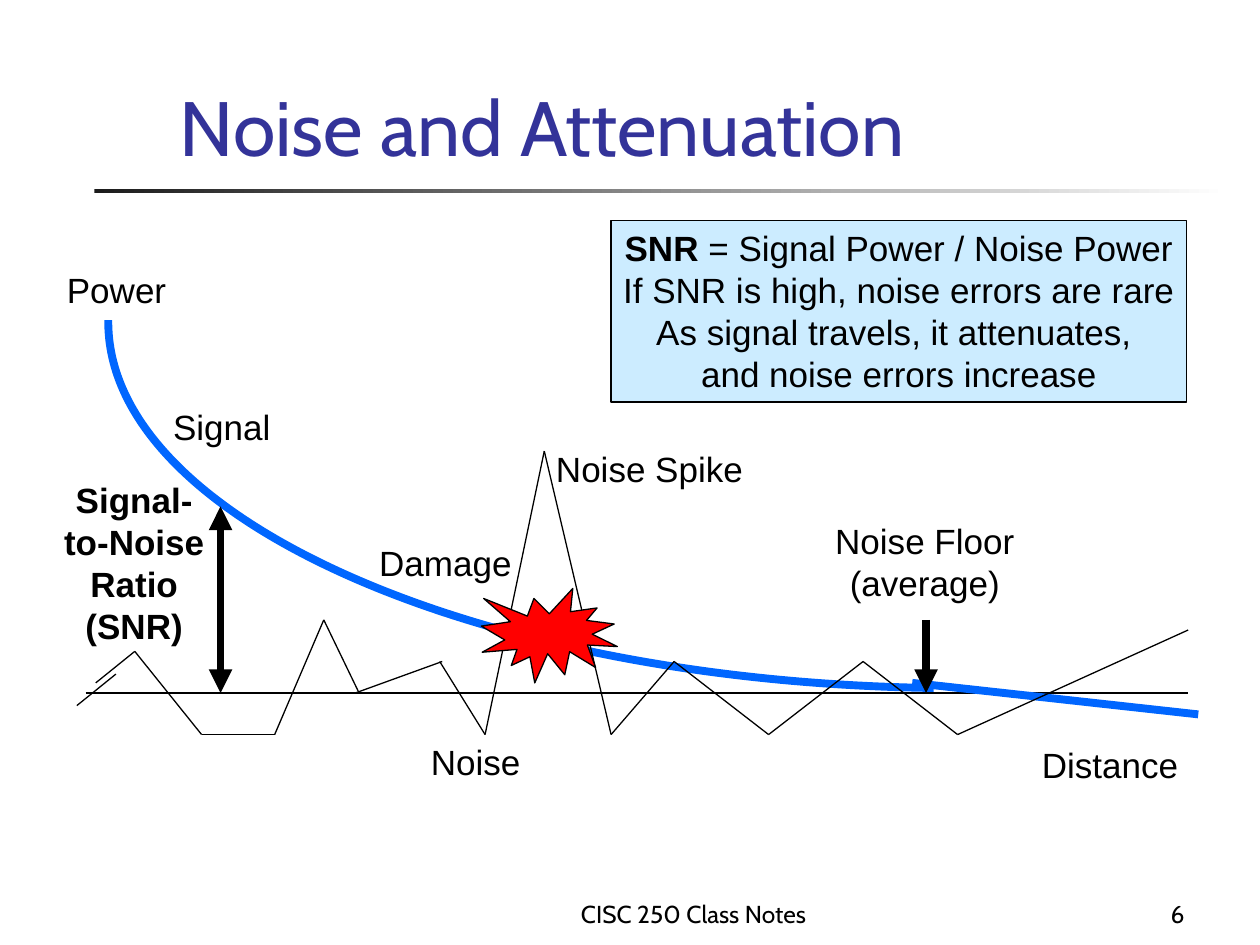
import collections
import itertools

import lxml.etree
import pptx
import pptx.dml.color
import pptx.enum.shapes
import pptx.enum.text
import pptx.oxml.ns
import pptx.util

Inches = pptx.util.Inches
ALIGN = pptx.enum.text.PP_ALIGN
ANCHOR = pptx.enum.text.MSO_ANCHOR
SHAPE = pptx.enum.shapes.MSO_SHAPE
Box = collections.namedtuple("Box", "left top width height")

BLACK, BLUE = "000000", "0066FF"
LABEL = {"size": pptx.util.Pt(20), "name": "Arial", "bold": False}
STRONG = {**LABEL, "bold": True}
TITLE = {"size": pptx.util.Pt(44), "name": "Cabin"}
FOOTER = {"size": pptx.util.Pt(14), "name": "Cabin"}


def color(value):
    return pptx.dml.color.RGBColor.from_string(value)


def set_values(target, values):
    for name, value in values.items():
        setattr(target, name, value)


def inside(box, left, top, width, height):
    return Box(box.left + left, box.top + top, width, height)


def write(shape, paragraphs, align, anchor=ANCHOR.TOP, wrap=False, fill=BLACK):
    frame = shape.text_frame
    set_values(frame, {"word_wrap": wrap, "vertical_anchor": anchor})
    for index, runs in enumerate(paragraphs):
        paragraph = frame.add_paragraph() if index else frame.paragraphs[0]
        paragraph.alignment = align
        for text, values in runs:
            run = paragraph.add_run()
            run.text = text
            set_values(run.font, values)
            run.font.color.rgb = color(fill)


def add_text(slide, box, paragraphs, align, **options):
    shape = slide.shapes.add_textbox(*map(Inches, box))
    write(shape, paragraphs, align, **options)


def add_outlined(slide, kind, box, fill):
    shape = slide.shapes.add_shape(kind, *map(Inches, box))
    shape.shadow.inherit = False
    shape.fill.solid()
    shape.fill.fore_color.rgb = color(fill)
    shape.line.color.rgb = color(BLACK)
    shape.line.width = pptx.util.Pt(0.75)
    return shape


def add_line(slide, box, start, end, stroke=BLACK, width=0.75, arrows=()):
    ends = [Inches(origin + offset) for point in (start, end)
            for origin, offset in zip(box[:2], point)]
    connector = slide.shapes.add_connector(
        pptx.enum.shapes.MSO_CONNECTOR.STRAIGHT, *ends)
    connector.line.color.rgb = color(stroke)
    connector.line.width = pptx.util.Pt(width)
    for arrow in arrows:
        lxml.etree.SubElement(connector.line._ln, pptx.oxml.ns.qn(arrow), type="triangle")
    lxml.etree.SubElement(connector._element.spPr, pptx.oxml.ns.qn("a:effectLst"))


def add_curve(slide, box, points, stroke, width):
    corners = [(Inches(box.left + x), Inches(box.top + y)) for x, y in points]
    builder = slide.shapes.build_freeform(*corners[0])
    builder.add_line_segments(corners[1:], close=False)
    shape = builder.convert_to_shape()
    shape.shadow.inherit = False
    shape.fill.background()
    shape.line.color.rgb = color(stroke)
    shape.line.width = pptx.util.Pt(width)
    segments = list(shape._element.iter(pptx.oxml.ns.qn("a:lnTo")))
    outline = segments[0].getparent()
    bezier = lxml.etree.SubElement(outline, pptx.oxml.ns.qn("a:cubicBezTo"))
    for segment in segments:
        bezier.append(segment[0])
        outline.remove(segment)


def add_heading(slide, box):
    rule = slide.shapes.add_shape(
        SHAPE.RECTANGLE, *map(Inches, inside(box, 0, 1.25, 9, 0.03)))
    rule.shadow.inherit = False
    rule.line.fill.background()
    rule.fill.gradient()
    rule.fill.gradient_angle = 0
    for stop, position, value in zip(rule.fill.gradient_stops, (0, 1), ("1C1C1C", "FFFFFF")):
        stop.position = position
        stop.color.rgb = color(value)
    add_text(slide, inside(box, 0.58, 0, 8.28, 1.16), [[("Noise and Attenuation", TITLE)]],
             ALIGN.LEFT, anchor=ANCHOR.BOTTOM, wrap=True, fill="333399")


def add_footer(slide, box):
    for text, left, width, align in (
            ("CISC 250 Class Notes", 0, 4.17, ALIGN.CENTER),
            ("6", 5.16, 0.92, ALIGN.RIGHT)):
        add_text(slide, inside(box, left, 0, width, box.height), [[(text, FOOTER)]],
                 align, anchor=ANCHOR.BOTTOM, wrap=True)


def add_diagram(slide, box):
    axis, low, peak = 3.5, 3.83, 3.25
    add_line(slide, box, (0.28, axis), (9.03, axis))
    add_curve(slide, box, [(7.01, 3.46), (3.38, 3.41), (0.44, 2.11), (0.46, 0.54)], BLUE, 4.5)
    add_line(slide, box, (6.84, 3.42), (9.11, 3.67), BLUE, 4.5)

    noise = (
        [(0.36, 3.42), (0.67, 3.17), (1.2, low), (1.78, low), (2.17, 2.92), (2.45, axis)],
        [(2.42, axis), (3.11, peak)],
        [(3.09, peak), (3.45, low), (3.92, 1.58), (4.45, low), (4.95, peak),
         (5.7, low), (6.45, peak), (7.2, low), (9.03, 3)],
        [(0.21, 3.6), (0.52, 3.35)],
    )
    for points in noise:
        for start, end in itertools.pairwise(points):
            add_line(slide, box, start, end)

    add_outlined(slide, SHAPE.EXPLOSION1, inside(box, 3.42, 2.67, 1.08, 0.75), "FF0000")
    add_line(slide, box, (6.95, 2.92), (6.95, axis), width=4.5, arrows=["a:tailEnd"])
    add_line(slide, box, (1.35, axis), (1.35, 2.02), width=4.5,
             arrows=["a:headEnd", "a:tailEnd"])

    labels = (
        (["Power"], 0.03, 0.08, 0.99, 0.43, LABEL),
        (["Signal"], 0.87, 1.17, 0.98, 0.43, LABEL),
        (["Noise Spike"], 3.91, 1.5, 1.69, 0.43, LABEL),
        (["Damage"], 2.51, 2.25, 1.25, 0.43, LABEL),
        (["Noise"], 2.92, 3.83, 0.91, 0.43, LABEL),
        (["Distance"], 7.77, 3.85, 1.28, 0.43, LABEL),
        (["Noise Floor", "(average)"], 6.13, 2.07, 1.62, 0.77, LABEL),
        (["Signal-", "to-Noise", "Ratio", "(SNR)"], 0.01, 1.75, 1.31, 1.43, STRONG),
    )
    for lines, left, top, width, height, values in labels:
        add_text(slide, inside(box, left, top, width, height),
                 [[(line, values)] for line in lines], ALIGN.CENTER)


def add_summary(slide, box):
    shape = add_outlined(slide, SHAPE.RECTANGLE, box, "CCECFF")
    write(shape, [
        [("SNR", STRONG), (" = Signal Power / Noise Power", LABEL)],
        [("If SNR is high, noise errors are rare", LABEL)],
        [("As signal travels, it attenuates, ", LABEL)],
        [("and noise errors increase", LABEL)],
    ], ALIGN.CENTER)


def main():
    presentation = pptx.Presentation()
    set_values(presentation, {"slide_width": Inches(10), "slide_height": Inches(7.5)})
    slide = presentation.slides.add_slide(presentation.slide_layouts[6])
    add_heading(slide, Box(0.75, 0.25, 9, 1.28))
    add_footer(slide, Box(3.42, 6.92, 6.08, 0.5))
    add_diagram(slide, Box(0.4, 2, 9.11, 4.28))
    add_summary(slide, Box(4.85, 1.75, 4.57, 1.44))
    presentation.save("out.pptx")


if __name__ == "__main__":
    main()
